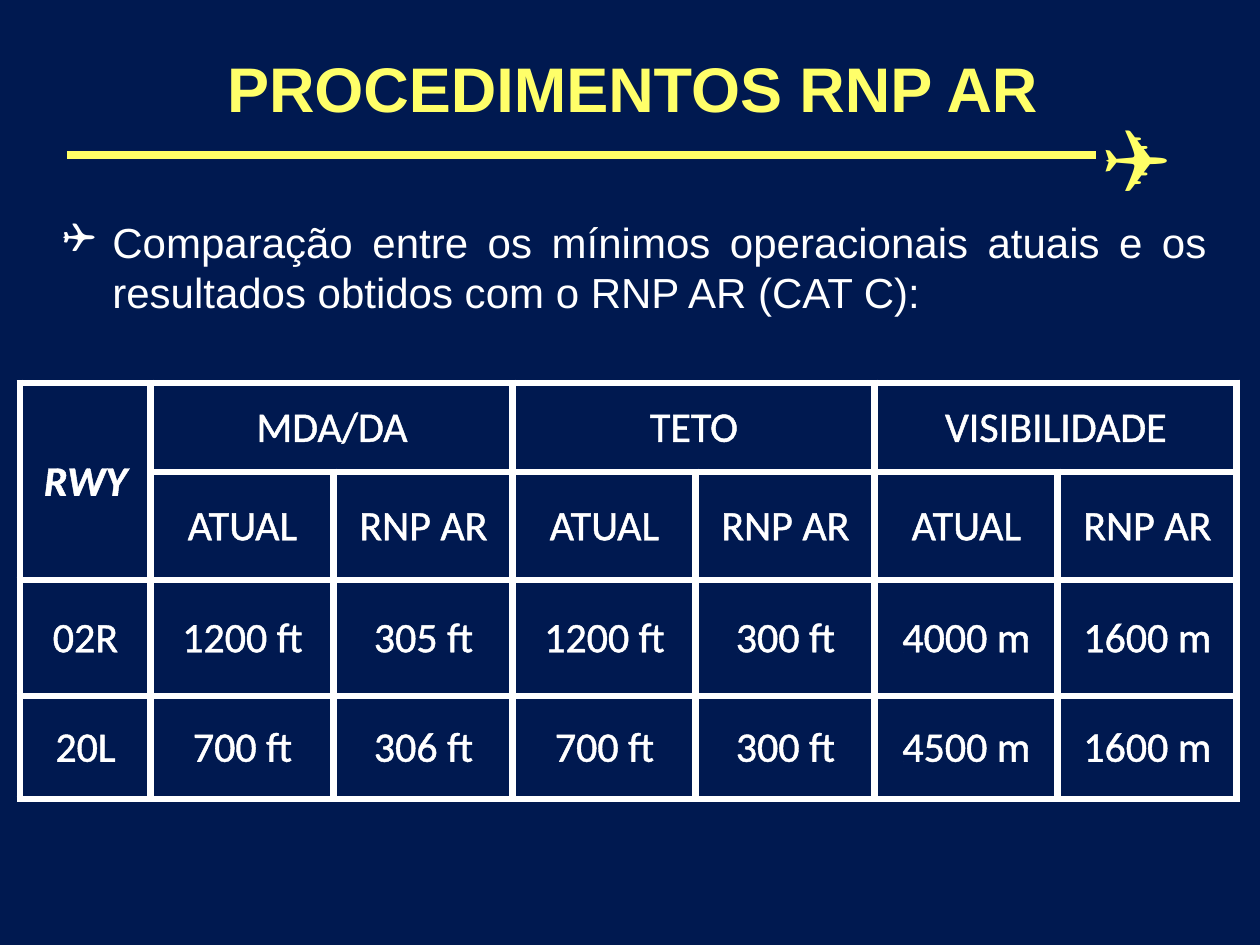
from lxml import etree
from pptx import Presentation, util as u
from pptx.dml.color import RGBColor
from pptx.enum import shapes, text
from pptx.oxml.ns import qn

PX = 914400 / 126
COLORS = {"navy": "001950", "white": "FFFFFF", "title": "FFFF69", "plane": "FFFF66"}
PLANE = "✈"

TITLE = "PROCEDIMENTOS RNP AR"
INTRO = ("Comparação entre os mínimos operacionais atuais e os resultados "
         "obtidos com o RNP AR (CAT C):")
GROUPS = ["MDA/DA", "TETO", "VISIBILIDADE"]
SUBHEADS = ["ATUAL", "RNP AR"]
RUNWAYS = [
    ["02R", "1200 ft", "305 ft", "1200 ft", "300 ft", "4000 m", "1600 m"],
    ["20L", "700 ft", "306 ft", "700 ft", "300 ft", "4500 m", "1600 m"],
]
COL_WIDTHS = [131] + [183, 179] * len(GROUPS)
ROW_HEIGHTS = [89, 108, 116, 103]


def px(n):
    return u.Emu(round(n * PX))


def rgb(name):
    return RGBColor.from_string(COLORS[name])


def add_xml_fill(parent, color):
    fill = etree.SubElement(parent, qn("a:solidFill"))
    etree.SubElement(fill, qn("a:srgbClr"), val=COLORS[color])


def write(tf, content, size=24, font="Calibri", color="white", bold=False,
          italic=False, align=text.PP_ALIGN.LEFT, after=0, outline=None):
    p = tf.paragraphs[0]
    p.alignment = align
    p.space_after = u.Pt(after)
    r = p.add_run()
    r.text = content
    f = r.font
    if outline:
        ln = etree.SubElement(r._r.get_or_add_rPr(), qn("a:ln"), w=str(u.Pt(outline)))
        add_xml_fill(ln, color)
    f.size, f.name, f.bold, f.italic = u.Pt(size), font, bold, italic
    f.color.rgb = rgb(color)
    return p


def add_box(s, left, top, width, height, content, **fmt):
    tf = s.shapes.add_textbox(px(left), px(top), px(width), px(height)).text_frame
    tf.word_wrap = True
    return write(tf, content, **fmt)


def add_bullet(p, char, color, indent):
    pPr = p._p.get_or_add_pPr()
    pPr.set("marL", str(px(indent)))
    pPr.set("indent", str(-px(indent)))
    clr = etree.SubElement(pPr, qn("a:buClr"))
    etree.SubElement(clr, qn("a:srgbClr"), val=COLORS[color])
    etree.SubElement(pPr, qn("a:buChar"), char=char)


def style_cell(cell, color="white", width=4.5):
    cell.vertical_anchor = text.MSO_ANCHOR.MIDDLE
    cell.margin_left = cell.margin_right = px(9)
    cell.margin_top = cell.margin_bottom = 0
    tcPr = cell._tc.get_or_add_tcPr()
    for side in ("lnL", "lnR", "lnT", "lnB"):
        ln = etree.SubElement(tcPr, qn(f"a:{side}"), w=str(u.Pt(width)))
        add_xml_fill(ln, color)
    cell.fill.solid()
    cell.fill.fore_color.rgb = rgb("navy")


def add_minima_table(s, left, top):
    rows = [["RWY"] + [t for g in GROUPS for t in (g, "")],
            [""] + SUBHEADS * len(GROUPS)] + RUNWAYS
    table = s.shapes.add_table(len(rows), len(COL_WIDTHS), px(left), px(top),
                               px(sum(COL_WIDTHS)), px(sum(ROW_HEIGHTS))).table
    table.first_row = table.horz_banding = False
    for col, width in zip(table.columns, COL_WIDTHS):
        col.width = px(width)
    for row, height in zip(table.rows, ROW_HEIGHTS):
        row.height = px(height)
    for i, values in enumerate(rows):
        for j, value in enumerate(values):
            cell = table.cell(i, j)
            style_cell(cell)
            if value:
                corner = i == j == 0
                write(cell.text_frame, value, bold=corner, italic=corner,
                      align=text.PP_ALIGN.CENTER, outline=0.75)
    table.cell(0, 0).merge(table.cell(1, 0))
    for j in range(1, len(COL_WIDTHS), 2):
        table.cell(0, j).merge(table.cell(0, j + 1))


def main():
    prs = Presentation()
    prs.slide_width, prs.slide_height = px(1260), px(945)
    s = prs.slides.add_slide(prs.slide_layouts[6])
    s.background.fill.solid()
    s.background.fill.fore_color.rgb = rgb("navy")

    intro = add_box(s, 50, 210, 1169, 619, INTRO, font="Arial",
                    align=text.PP_ALIGN.JUSTIFY, after=12)
    add_bullet(intro, PLANE, "white", 50)
    add_box(s, 1091, 106, 78, 97, PLANE, size=40, color="plane")
    rule = s.shapes.add_connector(shapes.MSO_CONNECTOR.STRAIGHT,
                                  px(67), px(155), px(1096), px(155))
    rule.line.color.rgb = rgb("plane")
    rule.line.width = u.Pt(4.5)
    etree.SubElement(rule._element.spPr, qn("a:effectLst"))
    add_box(s, 18, 43, 1229, 73, TITLE, size=36, font="Arial", color="title",
            bold=True, align=text.PP_ALIGN.CENTER, after=22.5)
    add_minima_table(s, 20, 383)

    prs.save("out.pptx")


if __name__ == "__main__":
    main()
